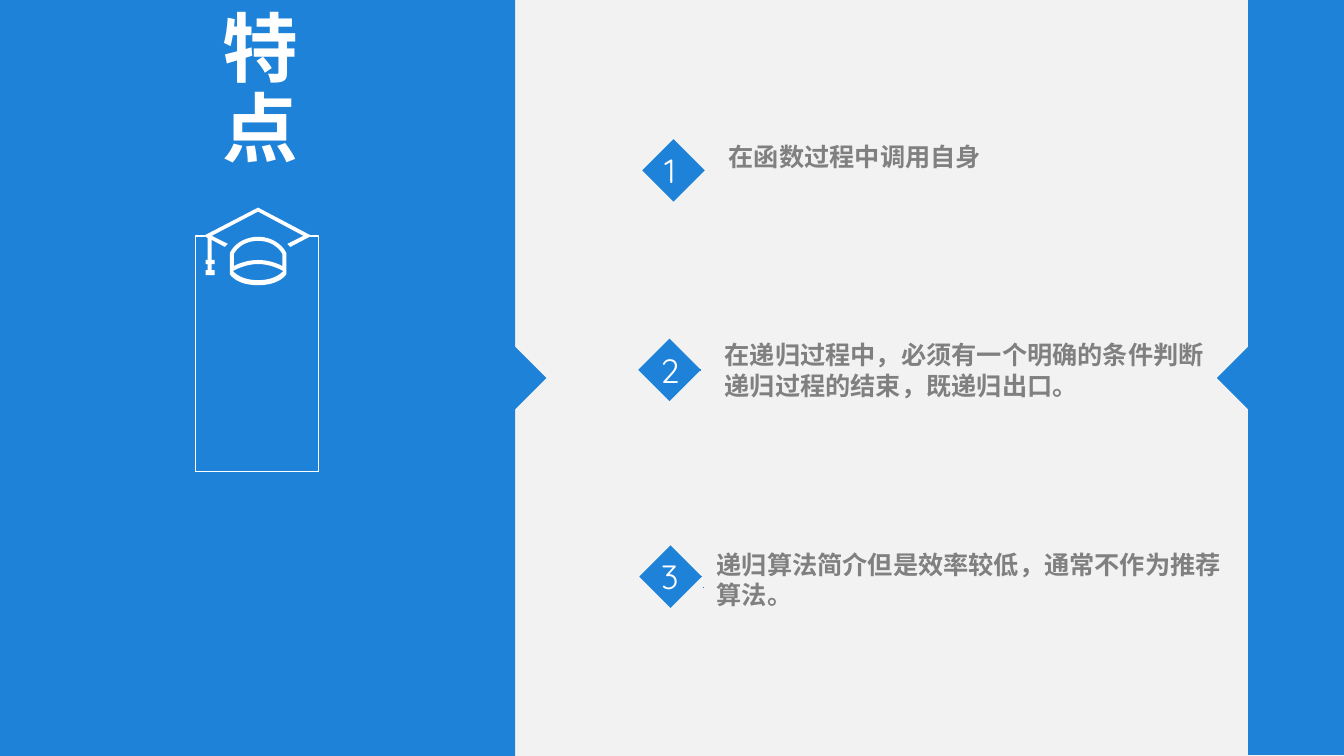
"""Build the slide on the three features of recursion."""
import pptx
import pptx.dml.color
import pptx.enum.shapes
import pptx.enum.text
import pptx.oxml
import pptx.oxml.ns
import pptx.util

BLUE, WHITE, GREY, PALE = "1E82D9", "FFFFFF", "808080", "F2F2F2"
COLS, ROWS = 133.3, 75
SHAPE = pptx.enum.shapes.MSO_SHAPE
TEXT = pptx.enum.text
TITLE = {"name": "Noto Sans CJK SC", "size": pptx.util.Pt(54), "bold": True}
BODY = {**TITLE, "size": pptx.util.Pt(18)}
DIGIT = {"name": "Quicksand", "size": pptx.util.Pt(24)}


def rgb(color):
    return pptx.dml.color.RGBColor.from_string(color)


def cells(*values):
    return [pptx.util.Inches(v / 10) for v in values]


def curve(a, b, c, d, steps=12):
    ts = [i / steps for i in range(steps + 1)]
    return [tuple((1 - t) ** 3 * p + 3 * (1 - t) ** 2 * t * q + 3 * (1 - t) * t * t * u + t ** 3 * v
                  for p, q, u, v in zip(a, b, c, d)) for t in ts]


def mirrored(half, axis):
    return half + [(2 * axis - x, y) for x, y in reversed(half)]


class Deck:
    """Style and current slide, measured on a grid of tenth-inch cells."""

    def __init__(self):
        self.prs = pptx.Presentation()
        self.prs.slide_width, self.prs.slide_height = cells(COLS, ROWS)
        self.s = self.prs.slides.add_slide(self.prs.slide_layouts[6])
        self.s.background.fill.solid()
        self.s.background.fill.fore_color.rgb = rgb(PALE)

    def paint(self, sp, fill=None, line=None):
        sp.shadow.inherit = False
        if fill:
            sp.fill.solid()
            sp.fill.fore_color.rgb = rgb(fill)
        else:
            sp.fill.background()
        if line:
            sp.line.color.rgb = rgb(line)
            sp.line.width = pptx.util.Pt(1)
        else:
            sp.line.fill.background()
        return sp

    def shape(self, kind, *box, parent=None):
        shapes = (parent or self.s).shapes
        return self.paint(shapes.add_shape(kind, *cells(*box)), BLUE)

    def outline(self, paths, close=True, **style):
        builder = None
        for points in paths:
            first, *rest = [tuple(cells(*point)) for point in points]
            if builder is None:
                builder = self.s.shapes.build_freeform(*first, scale=1.0)
            else:
                builder.move_to(*first)
            builder.add_line_segments(rest, close=close)
        return self.paint(builder.convert_to_shape(), **style)

    def set_lines(self, tf, lines, font, color):
        for i, line in enumerate(lines):
            p = tf.add_paragraph() if i else tf.paragraphs[0]
            p.alignment = TEXT.PP_ALIGN.LEFT
            r = p.add_run()
            r.text = line
            for key, value in font.items():
                setattr(r.font, key, value)
            r.font.color.rgb = rgb(color)
            ea = pptx.oxml.parse_xml(f'<a:ea {pptx.oxml.ns.nsdecls("a")} typeface="{font["name"]}"/>')
            r.font._element.append(ea)

    def text(self, parent, box, lines, font, color, wrap=False):
        tf = parent.shapes.add_textbox(*cells(*box)).text_frame
        tf.word_wrap = wrap
        tf.auto_size = TEXT.MSO_AUTO_SIZE.SHAPE_TO_FIT_TEXT
        self.set_lines(tf, lines, font, color)

    def vertical_title(self, sp, title):
        tf = sp.text_frame
        tf.vertical_anchor = TEXT.MSO_ANCHOR.MIDDLE
        tf._txBody.bodyPr.set("vert", "eaVert")
        self.set_lines(tf, [title], TITLE, WHITE)
        tf.paragraphs[0].runs[0].font._element.set("spc", "300")

    def tick(self, x, y):
        kind = pptx.enum.shapes.MSO_CONNECTOR.STRAIGHT
        line = self.s.shapes.add_connector(kind, *cells(x, y, x + 0.1, y))
        line.line.color.rgb = rgb(BLUE)
        line.line.width = pptx.util.Pt(1)
        effects = pptx.oxml.parse_xml(f'<a:effectLst {pptx.oxml.ns.nsdecls("a")}/>')
        line._element.spPr.append(effects)

    def feature(self, number, x, y, text_box, lines):
        group = self.s.shapes.add_group_shape()
        self.shape(SHAPE.DIAMOND, x, y, 6.2, 6.2, parent=group)
        self.text(group, (x + 1.2, y + 0.6, 3.8, 5), [str(number)], DIGIT, WHITE)
        self.text(group, text_box, lines, BODY, GREY, wrap=len(lines) == 1)

    def pointer(self, x, reach):
        middle = ROWS / 2
        self.outline([[(x, middle + 3.1), (x, middle - 3.1), (x + reach, middle)]], fill=BLUE)

    def cap(self, axis):
        crown = (curve((axis, 23.5), (24.4, 23.5), (23.3, 24.1), (22.8, 25.1))
                 + curve((22.8, 27.2), (22.8, 27.2), (23.4, 28.3), (axis, 28.3)))
        dome = (curve((axis, 23.9), (23.8, 23.9), (23.2, 25.2), (23.2, 25.2))
                + curve((23.2, 26.4), (23.2, 26.4), (24.2, 25.8), (axis, 25.8)))
        band = (curve((axis, 26.2), (24.7, 26.2), (23.8, 26.5), (23.1, 26.9))
                + curve((23.1, 26.9), (23.4, 27.2), (24.1, 27.8), (axis, 27.8)))
        tassel = [(20.6, 23.6), (20.6, 25.8), (20.4, 25.8), (20.4, 26.2), (20.6, 26.2),
                  (20.6, 26.8), (20.4, 26.8), (20.4, 27.3), (21.3, 27.3), (21.3, 26.8),
                  (21, 26.8), (21, 26.2), (21.3, 26.2), (21.3, 25.8), (21, 25.8), (21, 23.8)]
        board = [(axis, 20.6), (20.2, 23.4), *tassel, (22.3, 24.5), (22.6, 24.2), (21, 23.4),
                 (axis, 21), (30.1, 23.4), (28.5, 24.2), (28.8, 24.5), (30.9, 23.4)]
        halves = [mirrored(half, axis) for half in (crown, dome, band)]
        self.outline([*halves, board], fill=WHITE)


deck = Deck()
deck.shape(SHAPE.RECTANGLE, 123.8, -0.1, 9.6, ROWS)
panel = deck.shape(SHAPE.RECTANGLE, 0, 0, 51.1, ROWS)
deck.vertical_title(panel, "特点")
deck.cap(25.6)

features = [
    (63.7, 13.8, (71.3, 13.5, 27.3, 4), ["在函数过程中调用自身"]),
    (63.3, 33.6, (70.9, 33.2, 50, 7.1),
     ["在递归过程中，必须有一个明确的条件判断", "递归过程的结束，既递归出口。"]),
    (63.4, 54.1, (70.1, 54, 52.5, 7.1),
     ["递归算法简介但是效率较低，通常不作为推荐", "算法。"]),
]
for number, feature in enumerate(features, 1):
    deck.feature(number, *feature)
for x, y in [(69.7, 16.9), (69.4, 36.7), (69.5, 57.2), (69.7, 58.3)]:
    deck.tick(x, y)

deck.pointer(51.1, 3.1)
deck.outline([[(30.7, 23.4), (31.6, 23.4), (31.6, 46.8), (19.4, 46.8), (19.4, 23.4), (20.3, 23.4)]],
             close=False, line=WHITE)
deck.pointer(123.8, -3.1)
deck.prs.save("out.pptx")
